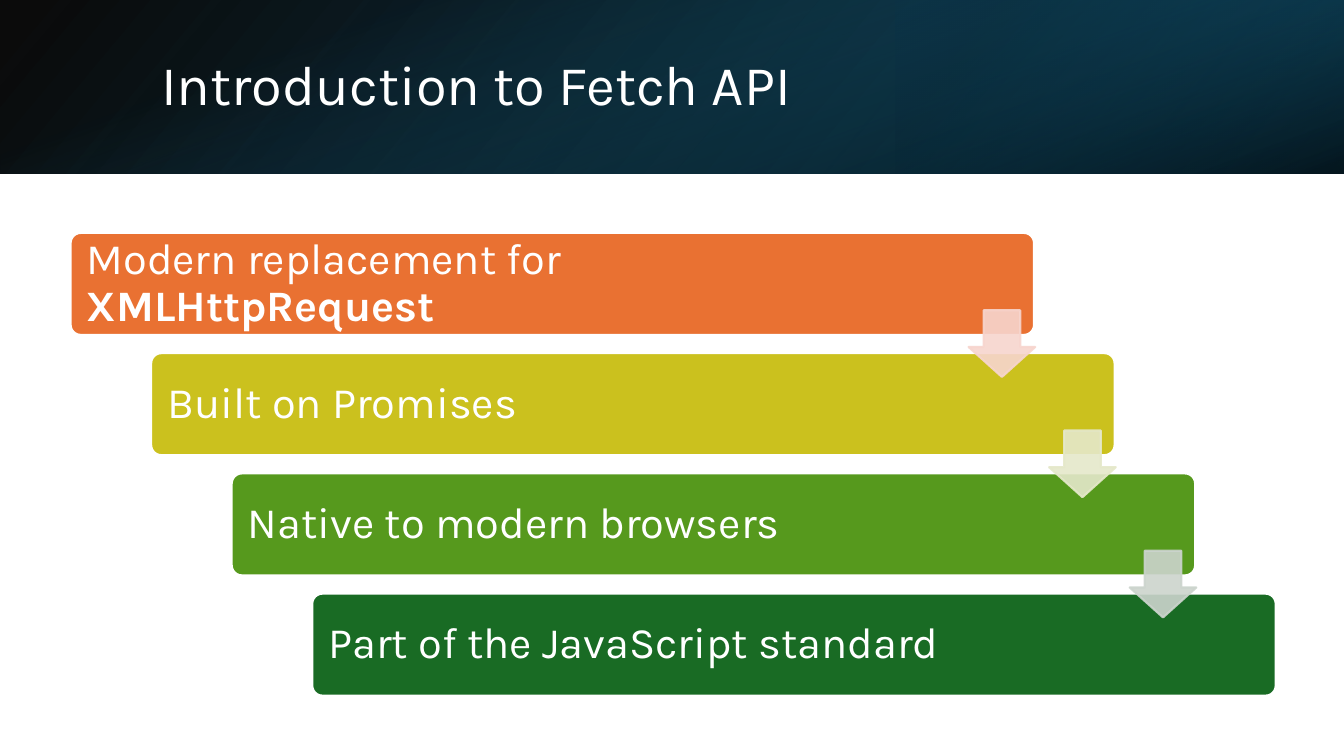
from lxml.etree import SubElement
from pptx import Presentation
from pptx.dml.color import RGBColor
from pptx.enum.shapes import MSO_SHAPE
from pptx.enum.text import MSO_ANCHOR, MSO_AUTO_SIZE, PP_ALIGN
from pptx.oxml.ns import qn
from pptx.util import Cm, Pt

WHITE = RGBColor(0xFF, 0xFF, 0xFF)
BLACK = RGBColor(0x00, 0x00, 0x00)
DEEP_BLUE = RGBColor(0x10, 0x48, 0x62)
NIGHT_BLUE = RGBColor(0x0B, 0x30, 0x41)
TEAL = RGBColor(0x15, 0x60, 0x82)
ORANGE = RGBColor(0xE9, 0x71, 0x32)
YELLOW = RGBColor(0xCB, 0xC1, 0x1E)
LIGHT_GREEN = RGBColor(0x56, 0x99, 0x1D)
DARK_GREEN = RGBColor(0x19, 0x6B, 0x24)
PALE_PINK = RGBColor(0xF7, 0xD5, 0xCE)
PALE_LIME = RGBColor(0xE5, 0xE8, 0xCA)
PALE_GREY = RGBColor(0xCC, 0xD4, 0xCD)

SLIDE_WIDTH, SLIDE_HEIGHT, BANNER_HEIGHT = 33.87, 19.05, 4.38
STEP_X, STEP_Y = 2.03, 3.03
BAR_FRAME = {"margin_left": Cm(0.33), "margin_right": Cm(3.15),
             "margin_top": 0, "margin_bottom": 0}
FRAME = {"word_wrap": True, "auto_size": MSO_AUTO_SIZE.NONE,
         "vertical_anchor": MSO_ANCHOR.MIDDLE}
PARAGRAPH = {"alignment": PP_ALIGN.LEFT, "line_spacing": 0.9}
FONT = {"name": "Karla"}

WASHES = [
    ((0, 0, SLIDE_WIDTH, BANNER_HEIGHT), 0, True, 140,
     [(0, BLACK, 96), (1, DEEP_BLUE, 100)]),
    ((22.58, 0, 11.29, BANNER_HEIGHT), 180, True, 320,
     [(0.19, NIGHT_BLUE, 68), (1, TEAL, 79)]),
    (((SLIDE_WIDTH - BANNER_HEIGHT) / 2, (BANNER_HEIGHT - SLIDE_WIDTH) / 2,
      BANNER_HEIGHT, SLIDE_WIDTH), 90, False, 340,
     [(0.23, TEAL, 0), (0.99, BLACK, 74)]),
]
POINTS = [
    (ORANGE, [("Modern replacement for ", False), ("XMLHttpRequest", True)]),
    (YELLOW, [("Built on Promises", False)]),
    (LIGHT_GREEN, [("Native to modern browsers", False)]),
    (DARK_GREEN, [("Part of the JavaScript standard", False)]),
]
ARROW_COLORS = [PALE_PINK, PALE_LIME, PALE_GREY]


def apply_format(target, values):
    """Set each named attribute on the target."""
    for name, value in values.items():
        setattr(target, name, value)


def set_opacity(element, percent):
    """Give every RGB colour inside the element an opacity."""
    for color in element.iter(qn("a:srgbClr")):
        SubElement(color, qn("a:alpha")).set("val", str(percent * 1000))


def write_text(frame, runs, size, frame_format):
    """Fill a text frame with one paragraph of white runs."""
    apply_format(frame, FRAME | frame_format)
    paragraph = frame.paragraphs[0]
    apply_format(paragraph, PARAGRAPH)
    for text, bold in runs:
        run = paragraph.add_run()
        run.text = text
        apply_format(run.font, FONT | {"size": Pt(size), "bold": bold})
        run.font.color.rgb = WHITE


def add_wash(slide, box, rotation, mirrored, angle, stops):
    """Add one translucent gradient layer of the banner."""
    wash = slide.shapes.add_shape(MSO_SHAPE.RECTANGLE, *map(Cm, box))
    wash.shadow.inherit = False
    wash.rotation = rotation
    if mirrored:
        wash._element.spPr.find(qn("a:xfrm")).set("flipH", "1")
    wash.line.fill.background()
    wash.fill.gradient()
    wash.fill.gradient_angle = 360 - angle
    for stop, (position, color, opacity) in zip(wash.fill.gradient_stops, stops):
        stop.position = position
        stop.color.rgb = color
        set_opacity(stop._gs, opacity)


def add_title(slide, text):
    """Move the title placeholder onto the banner and fill it."""
    title = slide.shapes.title
    apply_format(title, {"left": Cm(3.81), "top": Cm(0.97),
                         "width": Cm(27.89), "height": Cm(2.44)})
    write_text(title.text_frame, [(text, False)], 40, {})
    slide.shapes._spTree.append(title._element)


def add_solid(slide, preset, box, color, outline, adjustments):
    """Add a filled and outlined preset shape."""
    shape = slide.shapes.add_shape(preset, *map(Cm, box))
    shape.shadow.inherit = False
    for index, value in enumerate(adjustments):
        shape.adjustments[index] = value
    shape.fill.solid()
    shape.fill.fore_color.rgb = color
    shape.line.color.rgb = outline
    shape.line.width = Pt(1.5)
    return shape


def add_bar(slide, index, color, runs):
    """Add one step of the staircase with its text."""
    box = (1.78 + index * STEP_X, 5.87 + index * STEP_Y, 24.28, 2.57)
    bar = add_solid(slide, MSO_SHAPE.ROUNDED_RECTANGLE, box, color, WHITE, [0.1])
    write_text(bar.text_frame, runs, 31, BAR_FRAME)


def add_arrow(slide, index, color):
    """Add the arrow that leads down to the next step."""
    box = (24.41 + index * STEP_X, 7.82 + index * STEP_Y, 1.68, 1.68)
    arrow = add_solid(slide, MSO_SHAPE.DOWN_ARROW, box, color, color, [0.55, 0.45])
    arrow.adjustments[0] = 0.45
    arrow.adjustments[1] = 0.45
    apply_format(arrow.adjustments, {})
    arrow.adjustments[0] = 0.55
    set_opacity(arrow._element.spPr, 90)


def main():
    """Build and save the slide."""
    deck = Presentation()
    apply_format(deck, {"slide_width": Cm(SLIDE_WIDTH),
                        "slide_height": Cm(SLIDE_HEIGHT)})
    slide = deck.slides.add_slide(deck.slide_layouts[5])
    for wash in WASHES:
        add_wash(slide, *wash)
    add_title(slide, "Introduction to Fetch API")
    for index, (color, runs) in enumerate(POINTS):
        add_bar(slide, index, color, runs)
    for index, color in enumerate(ARROW_COLORS):
        add_arrow(slide, index, color)
    deck.save("out.pptx")


if __name__ == "__main__":
    main()
